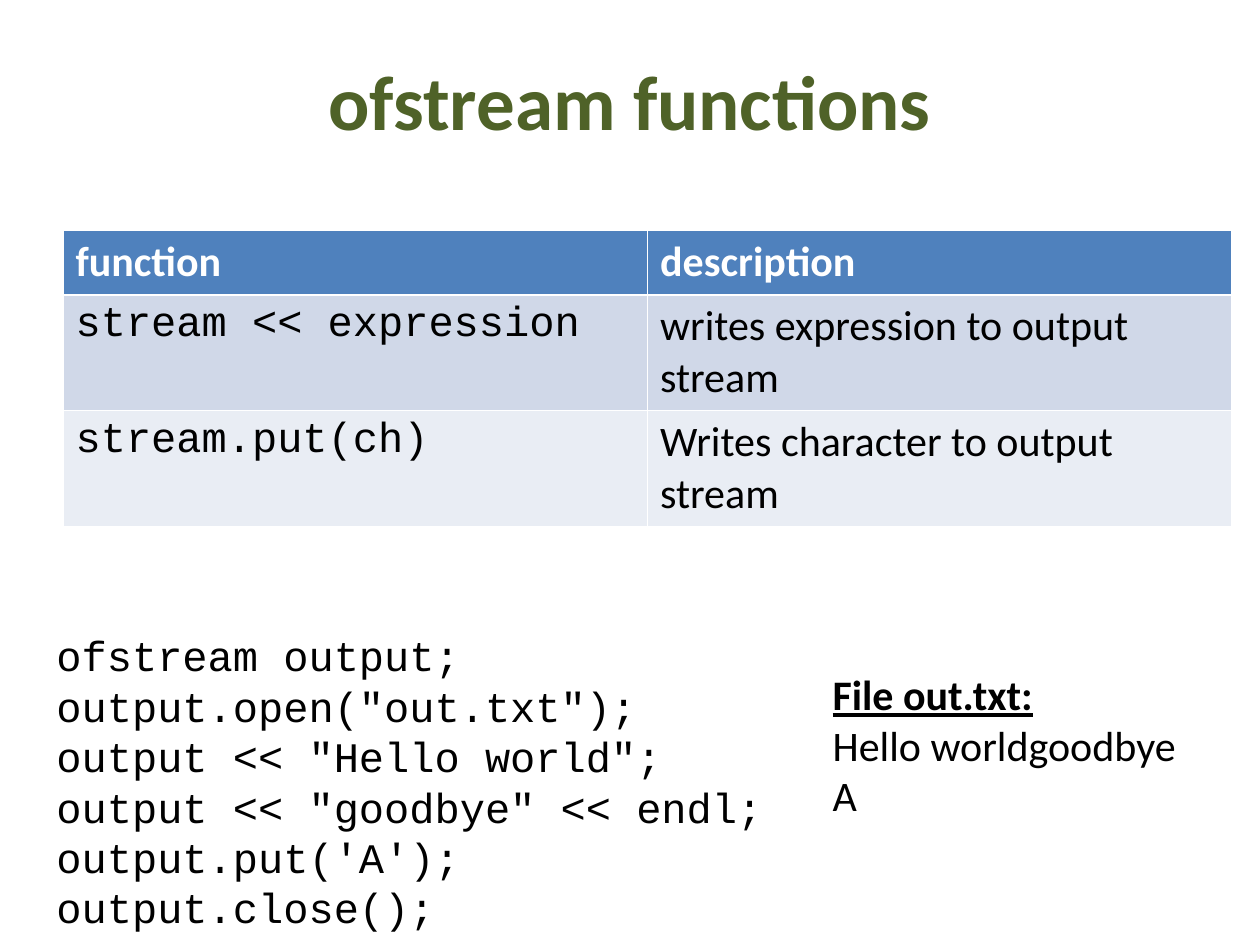
from pptx import Presentation
from pptx.dml.color import RGBColor
from pptx.enum.text import MSO_ANCHOR, MSO_AUTO_SIZE, PP_ALIGN
from pptx.util import Inches, Pt

BLACK = RGBColor(0x00, 0x00, 0x00)
WHITE = RGBColor(0xFF, 0xFF, 0xFF)
GREEN = RGBColor(0x4F, 0x62, 0x28)
HEADER_BLUE = RGBColor(0x4F, 0x81, 0xBD)
BAND_FILLS = (RGBColor(0xD0, 0xD8, 0xE8), RGBColor(0xE9, 0xED, 0xF4))

BODY_FONT = "Calibri"
CODE_FONT = "Courier New"
TITLE_ONLY = 5

FUNCTIONS = [
    ("function", "description"),
    ("stream << expression", "writes expression to output stream"),
    ("stream.put(ch)", "Writes character to output stream"),
]
CODE_LINES = [
    "ofstream output;",
    'output.open("out.txt");',
    'output << "Hello world";',
    'output << "goodbye" << endl;',
    "output.put('A');",
    "output.close();",
]
FILE_LINES = ["File out.txt:", "Hello worldgoodbye", "A"]


def format_font(paragraph, name, size=24, color=BLACK, bold=False):
    font = paragraph.font
    font.name = name
    font.size = Pt(size)
    font.color.rgb = color
    font.bold = bold


def place_title(slide, text):
    title = slide.shapes.title
    title.left, title.top = Inches(0.5), Inches(0.3)
    title.width, title.height = Inches(9), Inches(0.99)
    frame = title.text_frame
    frame.text = text
    frame.vertical_anchor = MSO_ANCHOR.MIDDLE
    paragraph = frame.paragraphs[0]
    paragraph.alignment = PP_ALIGN.CENTER
    format_font(paragraph, BODY_FONT, 44, GREEN, bold=True)


def add_function_table(slide, rows):
    # The default table style supplies the white rules between cells
    table = slide.shapes.add_table(
        len(rows), len(rows[0]),
        Inches(0.5), Inches(1.83), Inches(9.28), Inches(2.36)).table
    for row_index, texts in enumerate(rows):
        is_header = row_index == 0
        table.rows[row_index].height = Inches(0.51 if is_header else 0.92)
        for column_index, text in enumerate(texts):
            cell = table.cell(row_index, column_index)
            cell.text = text
            cell.fill.solid()
            cell.fill.fore_color.rgb = (
                HEADER_BLUE if is_header else BAND_FILLS[(row_index - 1) % 2])
            is_code = column_index == 0 and not is_header
            format_font(cell.text_frame.paragraphs[0],
                        CODE_FONT if is_code else BODY_FONT,
                        color=WHITE if is_header else BLACK, bold=is_header)


def add_lines(slide, lines, left, top, width, height, font_name):
    box = slide.shapes.add_textbox(
        Inches(left), Inches(top), Inches(width), Inches(height))
    frame = box.text_frame
    frame.word_wrap = True
    frame.auto_size = MSO_AUTO_SIZE.SHAPE_TO_FIT_TEXT
    frame.text = "\n".join(lines)
    for paragraph in frame.paragraphs:
        format_font(paragraph, font_name)
    return frame


def main():
    presentation = Presentation()
    presentation.slide_width, presentation.slide_height = Inches(10), Inches(7.5)
    slide = presentation.slides.add_slide(presentation.slide_layouts[TITLE_ONLY])

    place_title(slide, "ofstream functions")
    add_function_table(slide, FUNCTIONS)

    # Sample program and the file it writes
    add_lines(slide, CODE_LINES, 0.35, 4.95, 6.03, 2.52, CODE_FONT)
    file_frame = add_lines(slide, FILE_LINES, 6.51, 5.26, 3.49, 1.31, BODY_FONT)
    heading_font = file_frame.paragraphs[0].font
    heading_font.bold = True
    heading_font.underline = True

    presentation.save("out.pptx")


if __name__ == "__main__":
    main()
